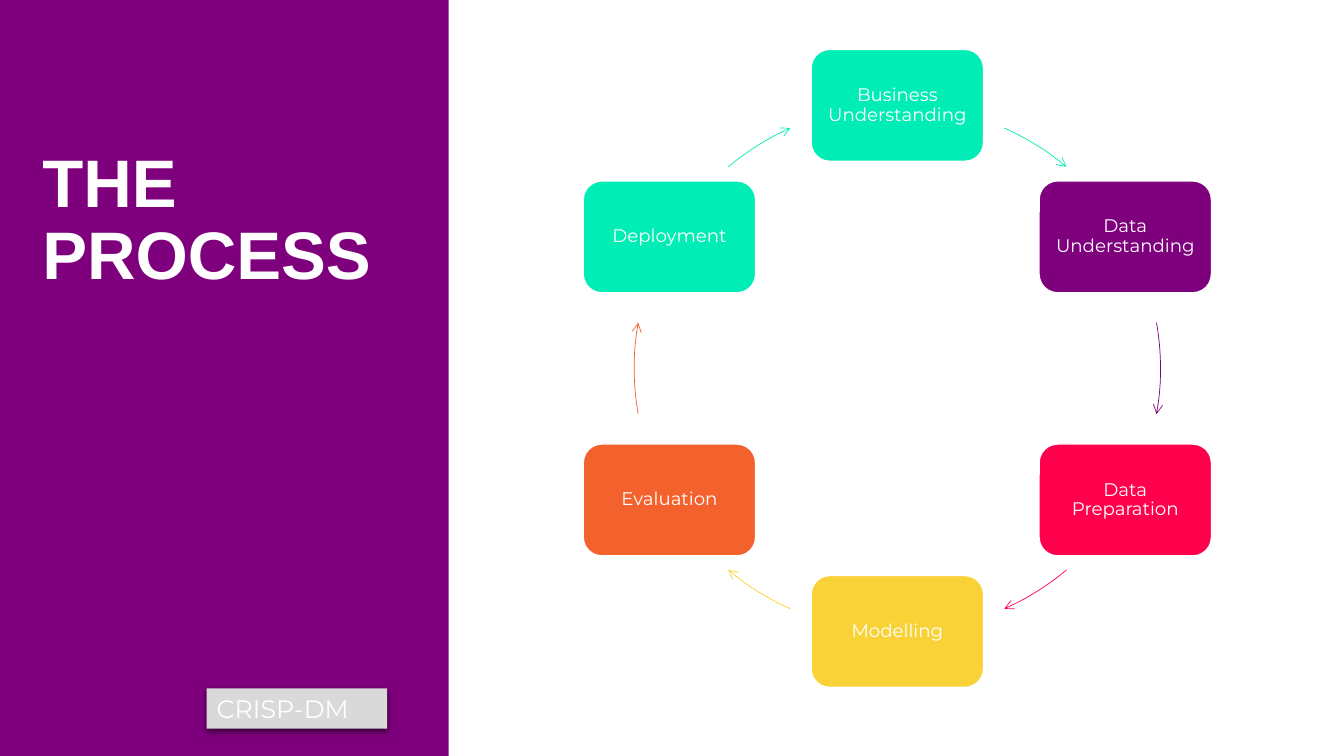
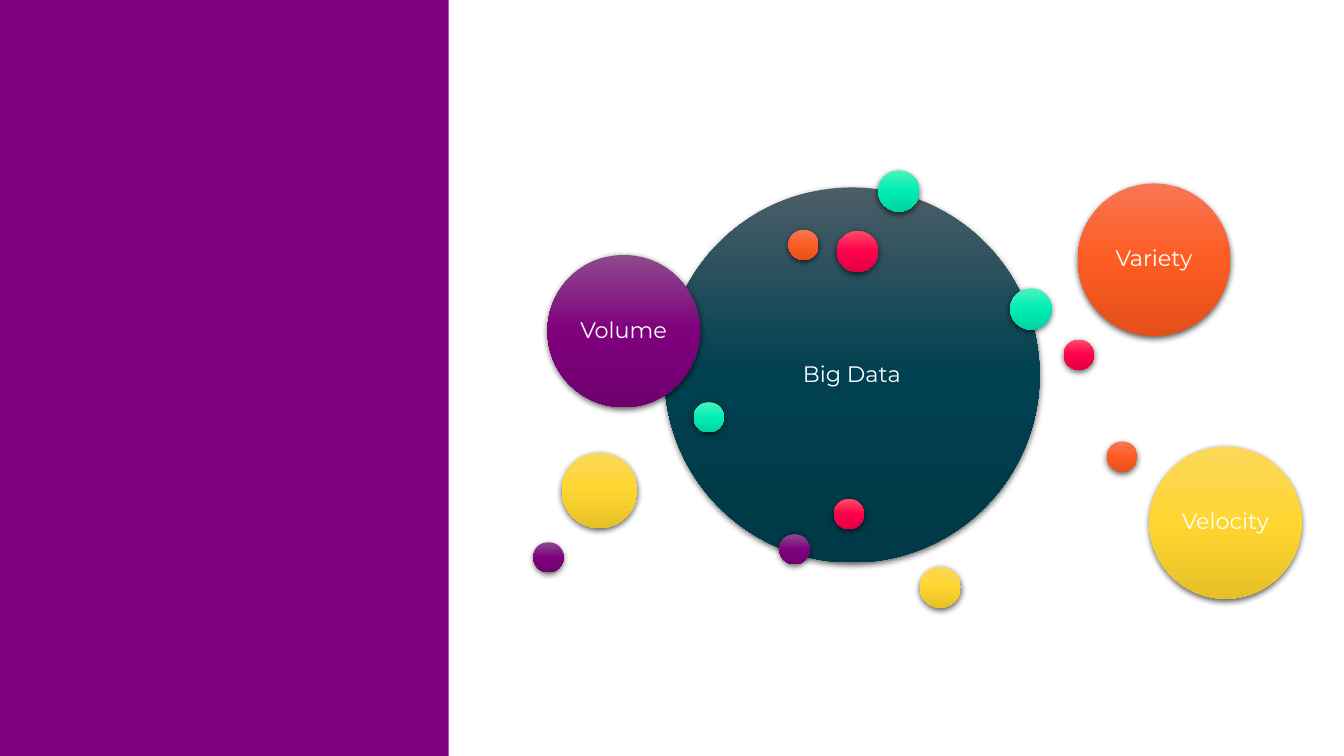
from copy import deepcopy
from dataclasses import dataclass
from math import cos, radians, sin

from lxml import etree
from pptx import Presentation
from pptx import util as u
from pptx.dml.color import RGBColor
from pptx.enum import shapes, text
from pptx.oxml.ns import qn

PX = 9144  # EMU in one px, 100 px to the inch
WIDE, HIGH = 1333, 750
KIND = shapes.MSO_SHAPE


@dataclass(frozen=True)
class Theme:
    white: str = "FFFFFF"
    black: str = "000000"
    grey: str = "D9D9D9"
    purple: str = "7F007D"
    green: str = "00EDB5"
    red: str = "FF004C"
    gold: str = "F8D237"
    rust: str = "F3612C"
    # Bubble shades run from top to bottom
    navy_fade: tuple = ("4B5E68", "004050", "003947")
    green_fade: tuple = ("4BF3BE", "00EDB5", "00D3A1")
    purple_fade: tuple = ("8D4B8C", "7F007D", "71006F")
    red_fade: tuple = ("FF4B67", "FF004C", "E30044")
    gold_fade: tuple = ("FBD85A", "FFD630", "E5C028")
    rust_fade: tuple = ("F77654", "FD5C22", "E5501A")
    body: str = "Montserrat"
    head: str = "Arial"
    title: int = 48
    tag: int = 18
    bubble: int = 16
    step: int = 13


T = Theme()

STEPS = [
    ("Business Understanding", T.green),
    ("Data Understanding", T.purple),
    ("Data Preparation", T.red),
    ("Modelling", T.gold),
    ("Evaluation", T.rust),
    ("Deployment", T.green),
]

# Left, top and size within the cluster, shades, label
BUBBLES = [
    (130, 17, 372, T.navy_fade, "Big Data"),
    (342, 0, 41, T.green_fade, ""),
    (244, 361, 30, T.purple_fade, ""),
    (526, 168, 30, T.red_fade, ""),
    (383, 393, 41, T.gold_fade, ""),
    (253, 59, 30, T.rust_fade, ""),
    (159, 230, 30, T.green_fade, ""),
    (14, 84, 151, T.purple_fade, "Volume"),
    (301, 60, 41, T.red_fade, ""),
    (28, 280, 75, T.gold_fade, ""),
    (540, 13, 151, T.rust_fade, "Variety"),
    (473, 117, 41, T.green_fade, ""),
    (0, 369, 30, T.purple_fade, ""),
    (298, 326, 30, T.red_fade, ""),
    (611, 274, 151, T.gold_fade, "Velocity"),
    (569, 269, 30, T.rust_fade, ""),
]


def emu(*sizes):
    return [round(size * PX) for size in sizes]


def rgb(code):
    return RGBColor.from_string(code)


def write(shape, words, size, font=T.body, bold=False, color=T.white,
          align=text.PP_ALIGN.CENTER, anchor=text.MSO_ANCHOR.MIDDLE,
          inset=(0, 0), lines=0.9):
    frame = shape.text_frame
    frame.word_wrap = True
    frame.vertical_anchor = anchor
    side, top = emu(*inset)
    frame.margin_left = frame.margin_right = side
    frame.margin_top = frame.margin_bottom = top
    para = frame.paragraphs[0]
    para.alignment, para.line_spacing = align, lines
    run = para.add_run()
    run.text = words
    run.font.name, run.font.size, run.font.bold = font, u.Pt(size), bold
    run.font.color.rgb = rgb(color)


def draw(slide, kind, box, fill=None, line=None, width=1):
    """Add a preset shape; a tuple of colours as fill gives a gradient."""
    shape = slide.shapes.add_shape(kind, *emu(*box))
    shape.shadow.inherit = False
    if isinstance(fill, tuple):
        fade(shape, fill)
    elif fill:
        shape.fill.solid()
        shape.fill.fore_color.rgb = rgb(fill)
    else:
        shape.fill.background()
    if line:
        shape.line.color.rgb = rgb(line)
        shape.line.width = u.Pt(width)
    else:
        shape.line.fill.background()
    return shape


def fade(shape, shades):
    shape.fill.gradient()
    shape.fill.gradient_angle = 270
    stops = shape.element.spPr.find(".//" + qn("a:gsLst"))
    stops.insert(1, deepcopy(stops[0]))
    for i, stop in enumerate(shape.fill.gradient_stops):
        stop.position = i / (len(shades) - 1)
        stop.color.rgb = rgb(shades[i])


def shade(shape):
    """Drop a soft shadow straight down."""
    effect = shape.element.spPr.find(qn("a:effectLst"))
    drop = etree.SubElement(effect, qn("a:outerShdw"), blurRad="57150",
                            dist="19050", dir="5400000", algn="ctr",
                            rotWithShape="0")
    tint = etree.SubElement(drop, qn("a:srgbClr"), val=T.black)
    etree.SubElement(tint, qn("a:alpha"), val="63000")


def arc(slide, box, start, end, color):
    """Draw an arrow along the circle in box, in degrees clockwise from east."""
    shape = draw(slide, KIND.ARC, box, line=color, width=0.5)
    for i, angle in enumerate((start, end)):
        shape.adjustments[i] = angle % 360 * 0.6
    etree.SubElement(shape.line._get_or_add_ln(), qn("a:tailEnd"), type="arrow")


def panel(deck):
    """Start a slide with the purple side panel."""
    slide = deck.slides.add_slide(deck.slide_layouts[6])
    draw(slide, KIND.RECTANGLE, (0, 0, 445, HIGH), T.purple)
    return slide


def heading(slide, box, words):
    shape = slide.shapes.add_textbox(*emu(*box))
    write(shape, words, T.title, font=T.head, bold=True,
          align=text.PP_ALIGN.LEFT, anchor=text.MSO_ANCHOR.TOP)


def label(slide, box, words):
    shape = draw(slide, KIND.RECTANGLE, box, T.grey)
    shade(shape)
    write(shape, words, T.tag, align=text.PP_ALIGN.LEFT,
          anchor=text.MSO_ANCHOR.TOP, inset=(10, 5), lines=1)


def cycle(slide, box, steps):
    """Set the steps clockwise on a circle, from the top, joined by arrows."""
    left, top, wide, high = box
    w, h = 171, 111
    mid_x, mid_y, ring = left + wide / 2, top + high / 2, (high - h) / 2
    circle = (mid_x - ring, mid_y - ring, 2 * ring, 2 * ring)
    turn = 360 / len(steps)
    # Gaps beside the top and bottom steps are shorter and lean to the sides
    arrows = [(-66, -50), (-10, 10), (50, 66),
              (114, 130), (170, 190), (230, 246)]
    for i, ((words, color), (start, end)) in enumerate(zip(steps, arrows)):
        angle = radians(i * turn - 90)
        x, y = mid_x + ring * cos(angle), mid_y + ring * sin(angle)
        step = draw(slide, KIND.ROUNDED_RECTANGLE,
                    (x - w / 2, y - h / 2, w, h), color, T.white)
        write(step, words, T.step, inset=(5, 5))
        arc(slide, circle, start, end, color)


def cluster(slide, left, top, bubbles):
    for x, y, size, shades, words in bubbles:
        ball = draw(slide, KIND.OVAL, (left + x, top + y, size, size), shades)
        shade(ball)
        if words:
            write(ball, words, T.bubble, inset=(7, 7))


def main():
    deck = Presentation()
    deck.slide_width, deck.slide_height = emu(WIDE, HIGH)

    process = panel(deck)
    cycle(process, (578, 49, 624, 633), STEPS)
    label(process, (205, 683, 179, 40), "CRISP-DM")
    heading(process, (42, 148, 377, 301), "THE PROCESS")

    data = panel(deck)
    cluster(data, 529, 169, BUBBLES)

    deck.save("out.pptx")


if __name__ == "__main__":
    main()
